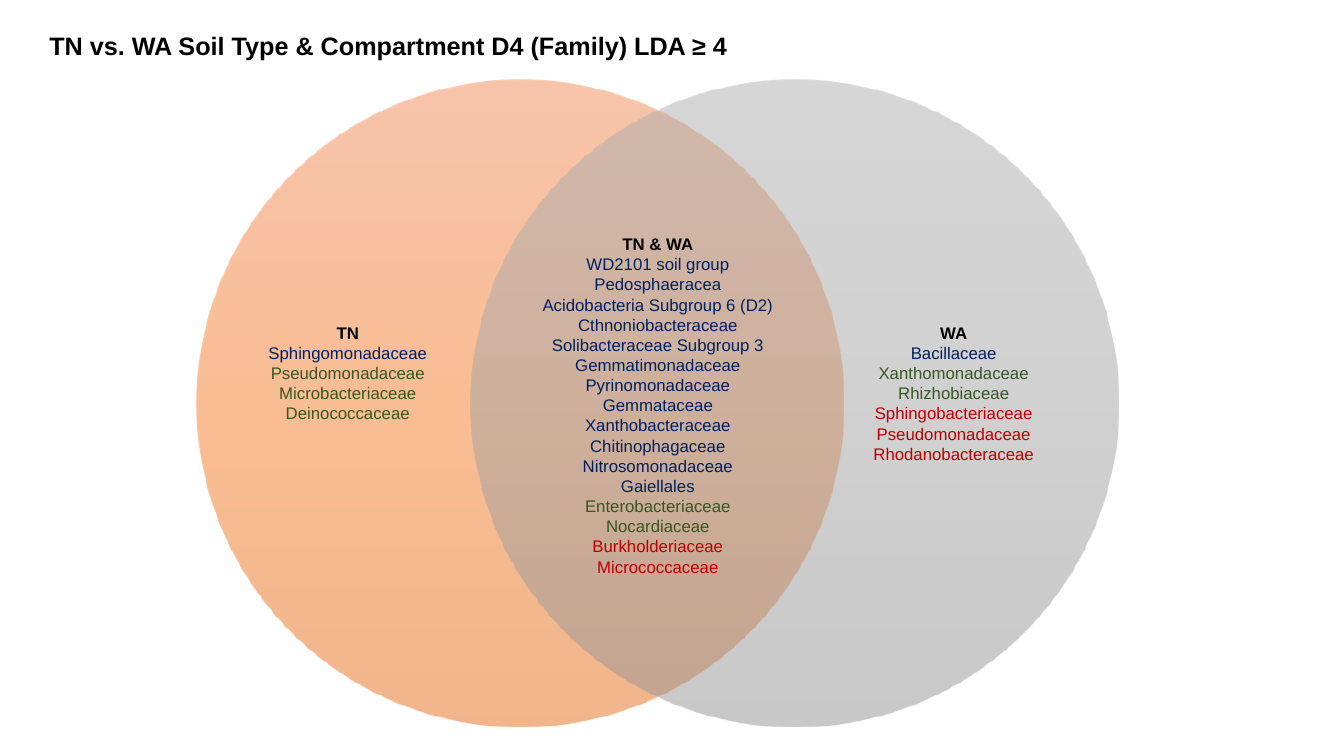
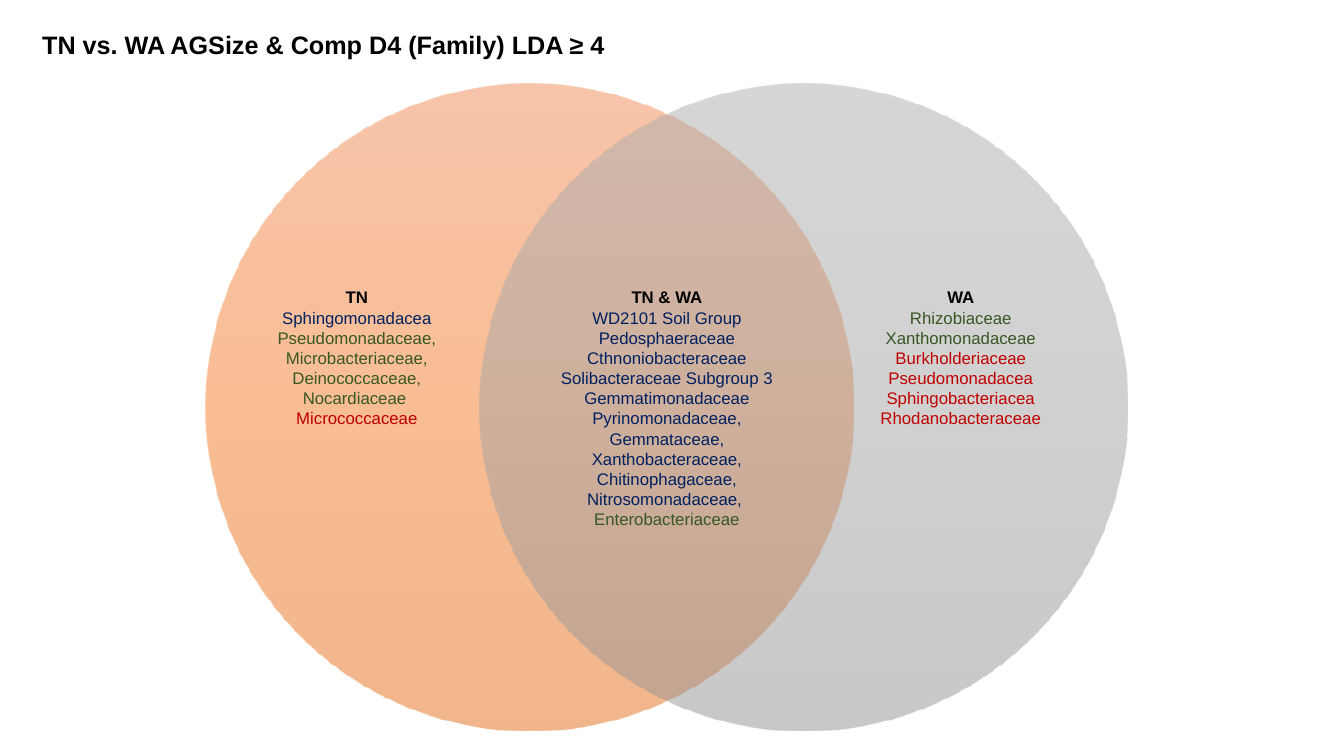
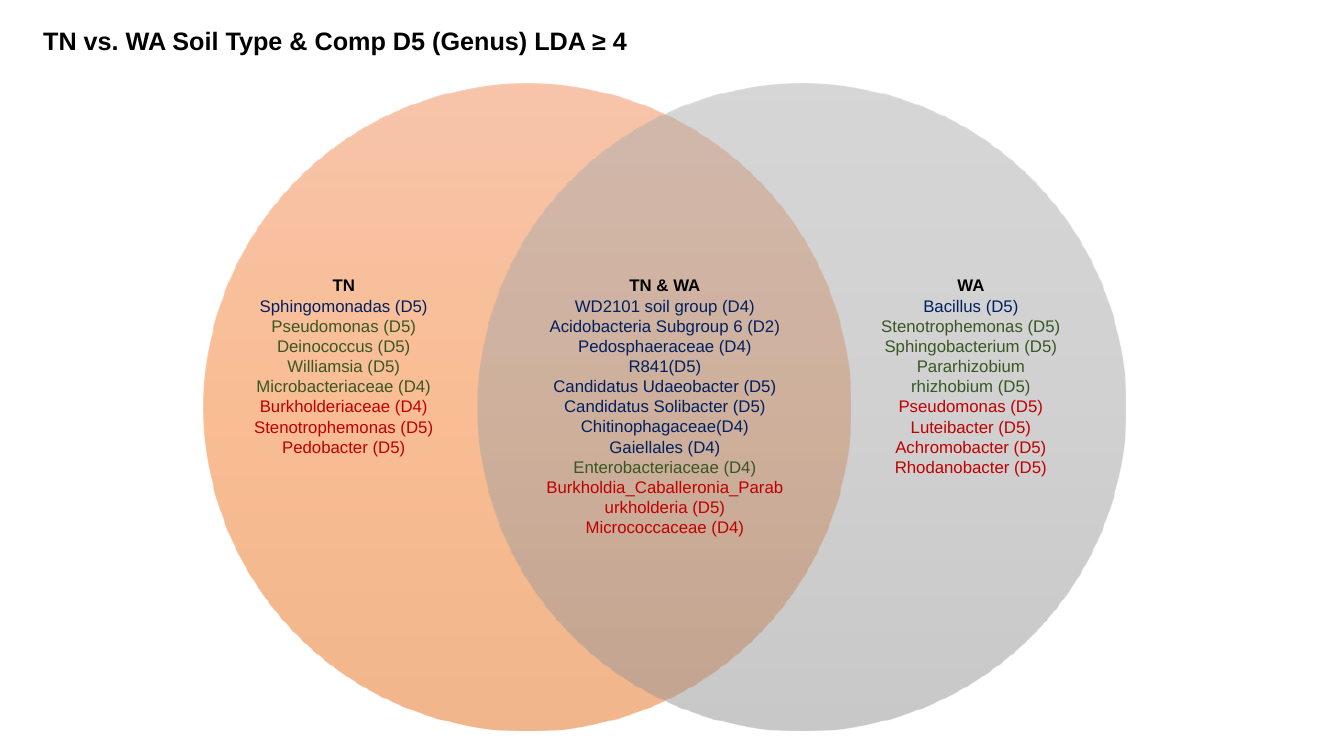
import pptx
import pptx.dml.color
import pptx.enum.shapes
import pptx.enum.text
import pptx.oxml
import pptx.oxml.ns
import pptx.util
from pptx.util import Inches

FONT = "Arial"
COLOURS = {
    "black": "000000",
    "navy": "002060",
    "green": "385723",
    "red": "C00000",
}
GRADIENTS = {
    "TN": ("F18C57", "F67B28", "E56C19"),
    "WA": ("AFAFAF", "A5A5A5", "939393"),
}
CIRCLE_SIZE = 6.42
CIRCLE_STEP = 2.72

DIAGRAMS = [
    {
        "title": "TN vs. WA Soil Type & Compartment D4 (Family) LDA ≥ 4",
        "title_box": (0.39, 0.25, 9.39, 0.4),
        "circles_at": (1.95, 0.79),
        "lists": [
            ("TN & WA", (5.23, 2.27, 2.59, 3.94), [
                ("navy", ["WD2101 soil group", "Pedosphaeracea", "Acidobacteria Subgroup 6 (D2)",
                          "Cthnoniobacteraceae", "Solibacteraceae Subgroup 3", "Gemmatimonadaceae",
                          "Pyrinomonadaceae", "Gemmataceae", "Xanthobacteraceae",
                          "Chitinophagaceae", "Nitrosomonadaceae", "Gaiellales"]),
                ("green", ["Enterobacteriaceae", "Nocardiaceae"]),
                ("red", ["Burkholderiaceae", "Micrococcaceae"]),
            ]),
            ("TN", (2.56, 3.15, 1.78, 1.31), [
                ("navy", ["Sphingomonadaceae"]),
                ("green", ["Pseudomonadaceae", "Microbacteriaceae", "Deinococcaceae"]),
            ]),
            ("WA", (8.56, 3.15, 1.8, 1.51), [
                ("navy", ["Bacillaceae"]),
                ("green", ["Xanthomonadaceae", "Rhizhobiaceae"]),
                ("red", ["Sphingobacteriaceae", "Pseudomonadaceae", "Rhodanobacteraceae"]),
            ]),
        ],
    },
    {
        "title": "TN vs. WA AGSize & Comp D4 (Family) LDA ≥ 4",
        "title_box": (0.32, 0.24, 7.17, 0.4),
        "circles_at": (2.04, 0.83),
        "lists": [
            ("TN & WA", (5.32, 2.8, 2.59, 3.13), [
                ("navy", ["WD2101 Soil Group", "Pedosphaeraceae Cthnoniobacteraceae",
                          "Solibacteraceae Subgroup 3", "Gemmatimonadaceae",
                          "Pyrinomonadaceae, Gemmataceae, Xanthobacteraceae, "
                          "Chitinophagaceae, Nitrosomonadaceae,\u00a0"]),
                ("green", ["Enterobacteriaceae"]),
            ]),
            ("TN", (2.65, 2.8, 1.78, 1.72), [
                ("navy", ["Sphingomonadacea"]),
                ("green", ["Pseudomonadaceae, Microbacteriaceae, Deinococcaceae, Nocardiaceae\u00a0"]),
                ("red", ["Micrococcaceae"]),
            ]),
            ("WA", (8.63, 2.8, 1.8, 1.51), [
                ("green", ["Rhizobiaceae", "Xanthomonadaceae"]),
                ("red", ["Burkholderiaceae", "Pseudomonadacea", "Sphingobacteriacea",
                         "Rhodanobacteraceae"]),
            ]),
        ],
    },
    {
        "title": "TN vs. WA Soil Type & Comp D5 (Genus) LDA ≥ 4",
        "title_box": (0.33, 0.2, 6.05, 0.4),
        "circles_at": (2.02, 0.83),
        "lists": [
            ("TN & WA", (5.3, 2.68, 2.59, 3.13), [
                ("navy", ["WD2101 soil group (D4)", "Acidobacteria Subgroup 6 (D2)",
                          "Pedosphaeraceae (D4)", "R841(D5)", "Candidatus Udaeobacter (D5)",
                          "Candidatus Solibacter (D5)", "Chitinophagaceae(D4)",
                          "Gaiellales (D4)"]),
                ("green", ["Enterobacteriaceae (D4)"]),
                ("red", ["Burkholdia_Caballeronia_Paraburkholderia (D5)",
                         "Micrococcaceae (D4)"]),
            ]),
            ("TN", (2.39, 2.68, 2.04, 2.12), [
                ("navy", ["Sphingomonadas (D5)"]),
                ("green", ["Pseudomonas (D5)", "Deinococcus (D5)", "Williamsia (D5)",
                           "Microbacteriaceae (D4)"]),
                ("red", ["Burkholderiaceae (D4)", "Stenotrophemonas (D5)", "Pedobacter (D5)"]),
            ]),
            ("WA", (8.61, 2.68, 2.04, 2.32), [
                ("navy", ["Bacillus (D5)"]),
                ("green", ["Stenotrophemonas (D5)", "Sphingobacterium (D5)",
                           "Pararhizobium rhizhobium (D5)"]),
                ("red", ["Pseudomonas (D5)", "Luteibacter (D5)", "Achromobacter (D5)",
                         "Rhodanobacter (D5)"]),
            ]),
        ],
    },
]


def write_text(paragraph, text, size=12, colour="black", bold=False, align="LEFT"):
    paragraph.alignment = getattr(pptx.enum.text.PP_ALIGN, align)
    run = paragraph.add_run()
    run.text = text
    run.font.name = FONT
    run.font.size = pptx.util.Pt(size)
    run.font.bold = bold
    run.font.color.rgb = pptx.dml.color.RGBColor.from_string(COLOURS[colour])


def add_text_frame(shapes, box):
    frame = shapes.add_textbox(*map(Inches, box)).text_frame
    frame.word_wrap = True
    frame.auto_size = pptx.enum.text.MSO_AUTO_SIZE.SHAPE_TO_FIT_TEXT
    return frame


def add_title(slide, text, box):
    frame = add_text_frame(slide.shapes, box)
    write_text(frame.paragraphs[0], text, size=18, bold=True)


def fill_translucent_gradient(shape, colours):
    shape.fill.gradient()
    shape.fill.gradient_angle = 270
    stops = shape.element.spPr.find(".//" + pptx.oxml.ns.qn("a:gsLst"))
    for stop in list(stops):
        stops.remove(stop)
    for position, colour in zip((0, 50000, 100000), colours):
        stops.append(pptx.oxml.parse_xml(
            f'<a:gs {pptx.oxml.ns.nsdecls("a")} pos="{position}">'
            f'<a:srgbClr val="{colour}"><a:alpha val="50000"/></a:srgbClr></a:gs>'))


def add_circle(shapes, left, top, colours):
    circle = shapes.add_shape(
        pptx.enum.shapes.MSO_SHAPE.OVAL,
        Inches(left), Inches(top), Inches(CIRCLE_SIZE), Inches(CIRCLE_SIZE))
    circle.shadow.inherit = False
    circle.line.fill.background()
    fill_translucent_gradient(circle, colours)


def add_taxa_list(shapes, heading, box, taxa):
    frame = add_text_frame(shapes, box)
    write_text(frame.paragraphs[0], heading, bold=True, align="CENTER")
    for colour, names in taxa:
        for name in names:
            write_text(frame.add_paragraph(), name, colour=colour, align="CENTER")


def add_venn(slide, left, top, lists):
    shapes = slide.shapes.add_group_shape().shapes
    for index, colours in enumerate(GRADIENTS.values()):
        add_circle(shapes, left + index * CIRCLE_STEP, top, colours)
    for heading, box, taxa in lists:
        add_taxa_list(shapes, heading, box, taxa)


def main():
    presentation = pptx.Presentation()
    presentation.slide_width = Inches(13.33)
    presentation.slide_height = Inches(7.5)
    for diagram in DIAGRAMS:
        slide = presentation.slides.add_slide(presentation.slide_layouts[6])
        add_title(slide, diagram["title"], diagram["title_box"])
        add_venn(slide, *diagram["circles_at"], diagram["lists"])
    presentation.save("out.pptx")


main()
